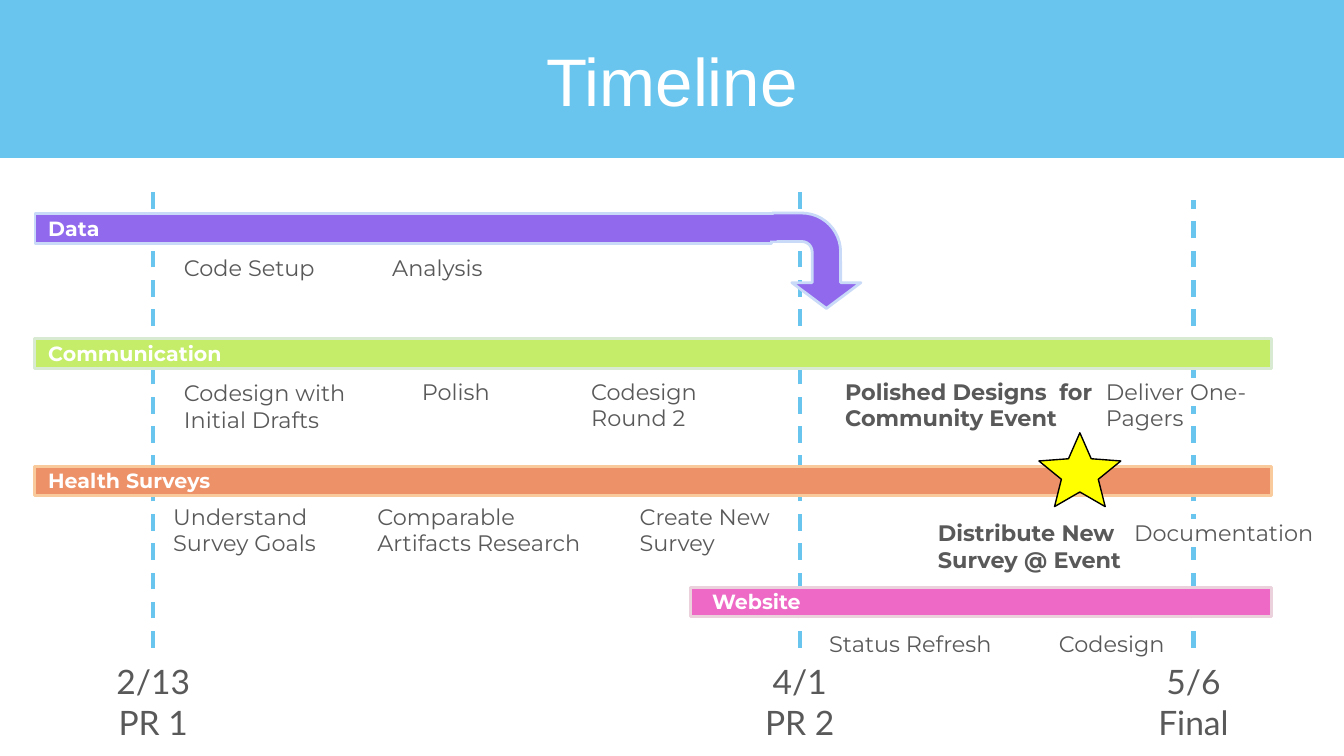
"""Build a project timeline slide with workstream bars, milestones and tasks."""
import pptx
import pptx.util
import pptx.dml.color
import pptx.enum.dml
import pptx.enum.shapes
import pptx.enum.text
import lxml.etree

Inches = pptx.util.Inches
Pt = pptx.util.Pt
SHAPE = pptx.enum.shapes.MSO_SHAPE
ALIGN = pptx.enum.text.PP_ALIGN

THEME = {
    "sky": "69C5ED", "ink": "595959", "white": "FFFFFF", "purple": "9169ED",
    "purple_edge": "C9DAF8", "star": "FFFF00", "black": "000000",
    "title": ("Arial", 36), "date": ("Lato", 18),
    "label": ("Montserrat", 11), "task": ("Montserrat", 12),
}

SLIDE_WIDTH = 10
SLIDE_HEIGHT = SLIDE_WIDTH * 9 / 16

MILESTONES = [
    (1.14, 1.36, ["2/13", "PR 1"]),
    (5.95, 1.36, ["4/1 PR 2"]),
    (8.88, 1.49, ["5/6", "Final"]),
]
MILESTONE_BOTTOM, DATE_WIDTH, DATE_HEIGHT = 4.82, 0.95, 0.81

BAR_HEIGHT, LABEL_HEIGHT, TASK_HEIGHT = 0.22, 0.39, 0.22
BARS = [
    ("Data", 0.26, 1.59, 5.74, THEME["purple"], THEME["purple_edge"], 0, 1.01),
    ("Communication", 0.26, 2.52, 9.46, "C5ED69", "D9EAD3", 0, 1.76),
    ("Health Surveys", 0.26, 3.47, 9.46, "ED9169", "F9CB9C", 0, 1.56),
    ("Website", 5.14, 4.37, 9.46, "ED69C5", "EAD1DC", 0.06, 1.34),
]

TASKS = [
    ("Code Setup", 1.27, 1.79, 1.59, ""),
    ("Analysis", 2.82, 1.79, 1.59, ""),
    ("Codesign with Initial Drafts", 1.27, 2.72, 1.59, ""),
    ("Polish", 3.04, 2.71, 0.84, ""),
    ("Codesign Round 2", 4.3, 2.71, 1.01, ""),
    ("Polished Designs  for Community Event", 6.19, 2.71, 2.23, "bold"),
    ("Deliver One-Pagers", 8.13, 2.71, 1.69, "highlight"),
    ("Understand Survey Goals", 1.19, 3.64, 1.59, ""),
    ("Comparable Artifacts Research", 2.71, 3.64, 1.88, ""),
    ("Create New Survey", 4.66, 3.64, 1.38, ""),
    ("Distribute New Survey @ Event", 6.88, 3.76, 1.69, "bold"),
    ("Documentation", 8.34, 3.76, 1.69, "highlight"),
    ("Status Refresh", 6.07, 4.59, 1.59, ""),
    ("Codesign", 7.78, 4.59, 1.59, ""),
]


def rgb(color):
    return pptx.dml.color.RGBColor.from_string(color)


def add_filled(shapes, preset, box, fill, edge=None, width=0.75):
    shape = shapes.add_shape(preset, *map(Inches, box))
    shape.shadow.inherit = False
    shape.fill.solid()
    shape.fill.fore_color.rgb = rgb(fill)
    if edge:
        shape.line.color.rgb = rgb(edge)
        shape.line.width = Pt(width)
    else:
        shape.line.fill.background()
    return shape


def highlight(run, color):
    mark = pptx.oxml.parse_xml(
        '<a:highlight xmlns:a="http://schemas.openxmlformats.org/drawingml/2006/main">'
        f'<a:srgbClr val="{color}"/></a:highlight>')
    run.font.fill._xPr.find(pptx.oxml.ns.qn("a:solidFill")).addnext(mark)


def write(frame, lines, style, color, bold=False, align=ALIGN.LEFT, backing=None):
    frame.word_wrap = True
    frame.auto_size = pptx.enum.text.MSO_AUTO_SIZE.NONE
    frame.vertical_anchor = pptx.enum.text.MSO_ANCHOR.TOP
    frame.margin_left = frame.margin_right = Inches(0.1)
    frame.margin_top = frame.margin_bottom = Inches(0.1)
    for index, line in enumerate(lines):
        paragraph = frame.add_paragraph() if index else frame.paragraphs[0]
        paragraph.alignment = align
        run = paragraph.add_run()
        run.text = line
        run.font.name, size = THEME[style]
        run.font.size = Pt(size)
        run.font.bold = bold
        run.font.color.rgb = rgb(color)
        if backing:
            highlight(run, backing)


def add_text(shapes, box, *args, **options):
    write(shapes.add_textbox(*map(Inches, box)).text_frame, *args, **options)


def add_milestone_line(shapes, x, top):
    line = shapes.add_connector(
        pptx.enum.shapes.MSO_CONNECTOR.STRAIGHT,
        Inches(x), Inches(MILESTONE_BOTTOM), Inches(x), Inches(top))
    line.line.color.rgb = rgb(THEME["sky"])
    line.line.width = Pt(2.25)
    line.line.dash_style = pptx.enum.dml.MSO_LINE.DASH
    lxml.etree.SubElement(line._element.spPr, pptx.oxml.ns.qn("a:effectLst"))


def add_data_arrow(shapes):
    arrow = add_filled(shapes, SHAPE.BENT_ARROW, (5.72, 1.61, 0.71, 0.66),
                       THEME["purple"], THEME["purple_edge"], 1.5)
    arrow.rotation = 90
    for index, value in enumerate((0.321, 0.389, 0.29, 0.438)):
        arrow.adjustments[index] = value
    add_filled(shapes, SHAPE.RECTANGLE, (5.72, 1.6, 0.06, 0.19), THEME["purple"])


def main():
    deck = pptx.Presentation()
    deck.slide_width, deck.slide_height = Inches(SLIDE_WIDTH), Inches(SLIDE_HEIGHT)
    slide = deck.slides.add_slide(deck.slide_layouts[5])
    shapes = slide.shapes

    for x, top, _ in MILESTONES:
        add_milestone_line(shapes, x, top)
    for _, left, top, right, fill, edge, _, _ in BARS:
        add_filled(shapes, SHAPE.RECTANGLE, (left, top, right - left, BAR_HEIGHT),
                   fill, edge, 1.5)
    add_data_arrow(shapes)

    add_filled(shapes, SHAPE.RECTANGLE, (0, 0, SLIDE_WIDTH, 1.17),
               THEME["sky"], THEME["sky"])
    title = shapes.title
    title.left, title.top, title.width, title.height = map(Inches, (0.34, 0.19, 9.32, 0.63))
    write(title.text_frame, ["Timeline"], "title", THEME["white"], align=ALIGN.CENTER)
    shapes._spTree.append(title._element)

    for name, left, top, _, _, _, indent, width in BARS:
        label_top = top + (BAR_HEIGHT - LABEL_HEIGHT) / 2
        add_text(shapes, (left + indent, label_top, width, LABEL_HEIGHT),
                 [name], "label", THEME["white"], bold=True)
    for x, _, lines in MILESTONES:
        add_text(shapes, (x - DATE_WIDTH / 2, MILESTONE_BOTTOM, DATE_WIDTH, DATE_HEIGHT),
                 lines, "date", THEME["ink"], align=ALIGN.CENTER)

    add_filled(shapes, SHAPE.STAR_5_POINT, (7.73, 3.22, 0.61, 0.55),
               THEME["star"], THEME["black"]).adjustments[0] = 0.225
    for task, left, top, width, emphasis in TASKS:
        add_text(shapes, (left, top, width, TASK_HEIGHT), [task], "task", THEME["ink"],
                 bold=emphasis == "bold",
                 backing=THEME["white"] if emphasis == "highlight" else None)

    deck.save("out.pptx")


if __name__ == "__main__":
    main()
